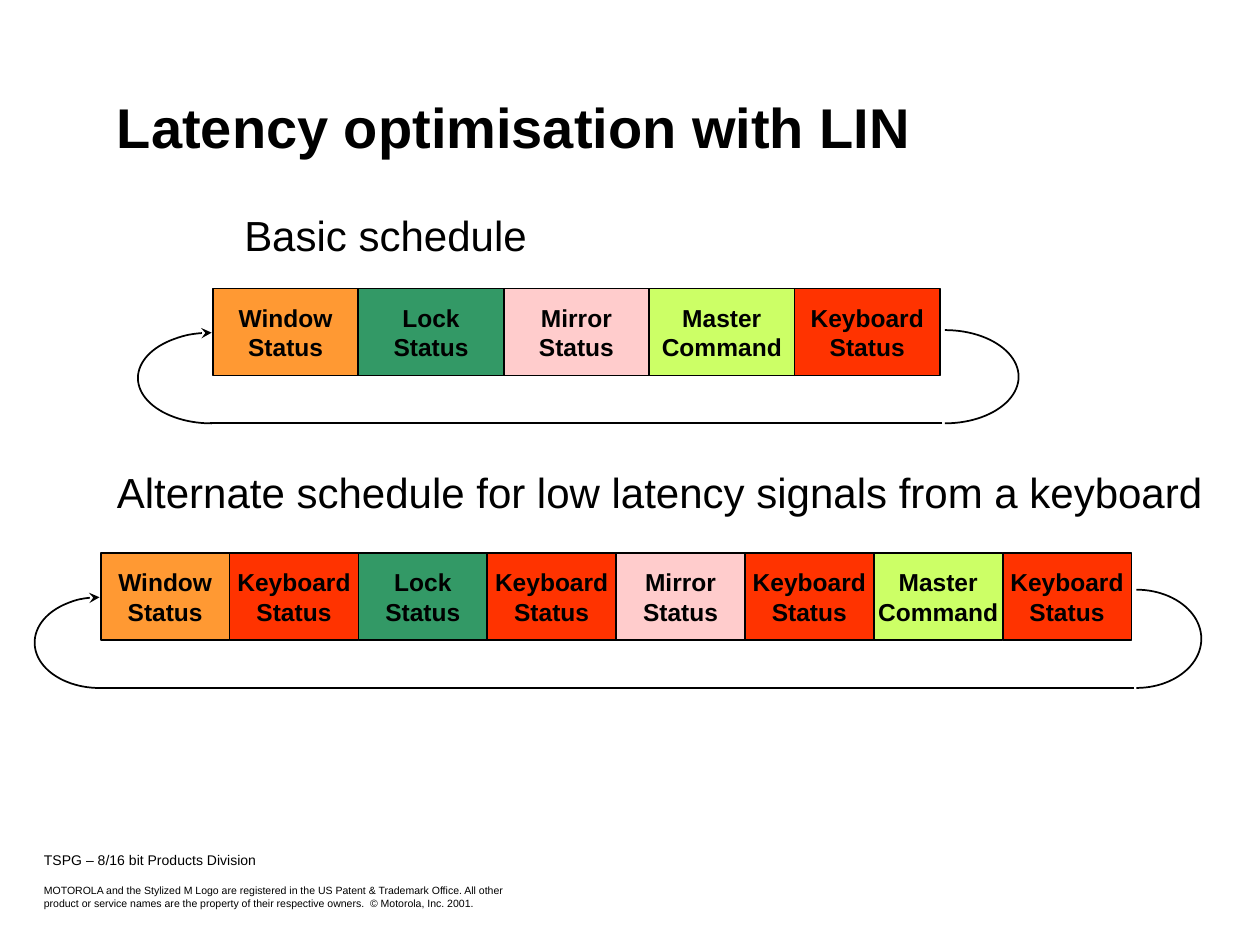
from dataclasses import dataclass

from lxml import etree
from pptx import Presentation
from pptx import util as u
from pptx.dml import color
from pptx.enum import shapes, text
from pptx.oxml import ns

BLACK = "000000"
FONT = "Arial"


@dataclass
class Frame:
    """One message slot of a schedule."""
    name: str
    kind: str
    fill: str


@dataclass
class Plan:
    """A row of frames with the loop that leads back to its start."""
    left: float
    right: float
    top: float
    loop: float   # width of the arcs
    rise: float   # height of the right arc
    frames: list[Frame]


@dataclass
class Label:
    left: float
    top: float
    width: float
    height: float
    size: int
    words: str
    bold: bool = False


WINDOW = Frame("Window", "Status", "FF9933")
LOCK = Frame("Lock", "Status", "339966")
MIRROR = Frame("Mirror", "Status", "FFCCCC")
MASTER = Frame("Master", "Command", "CCFF66")
KEYS = Frame("Keyboard", "Status", "FF3300")

PLANS = [
    Plan(1.69, 7.46, 2.29, 1.17, 0.74, [WINDOW, LOCK, MIRROR, MASTER, KEYS]),
    Plan(0.8, 8.98, 4.39, 1.03, 0.78,
         [WINDOW, KEYS, LOCK, KEYS, MIRROR, KEYS, MASTER, KEYS]),
]

LABELS = [
    Label(0.83, 0.5, 8.67, 1, 32, "Latency optimisation with LIN", True),
    Label(1.84, 1.61, 4.45, 0.5, 24, "Basic schedule"),
    Label(0.83, 3.65, 8.83, 0.5, 24,
          "Alternate schedule for low latency signals from a keyboard"),
]

OWNER = "TSPG – 8/16 bit Products Division"
RIGHTS = ("MOTOROLA and the Stylized M Logo are registered in the US Patent "
          "& Trademark Office. All other \vproduct or service names are the "
          "property of their respective owners.  © Motorola, Inc. 2001.")


def rgb(code: str) -> color.RGBColor:
    return color.RGBColor.from_string(code)


def style(para, size: float, bold: bool = False) -> None:
    font = para.font
    font.name, font.size, font.bold = FONT, u.Pt(size), bold
    font.color.rgb = rgb(BLACK)


def ink(shape) -> None:
    shape.line.color.rgb = rgb(BLACK)
    shape.line.width = u.Pt(1)


def write(slide, label: Label):
    box = slide.shapes.add_textbox(
        u.Inches(label.left), u.Inches(label.top),
        u.Inches(label.width), u.Inches(label.height))
    frame = box.text_frame
    frame.word_wrap = True
    frame.text = label.words
    style(frame.paragraphs[0], label.size, label.bold)
    return frame


def cell(slide, item: Frame, left: float, top: float, width: float) -> None:
    box = slide.shapes.add_shape(
        shapes.MSO_SHAPE.RECTANGLE, u.Inches(left), u.Inches(top),
        u.Inches(width), u.Inches(0.69))
    box.shadow.inherit = False
    box.fill.solid()
    box.fill.fore_color.rgb = rgb(item.fill)
    ink(box)
    frame = box.text_frame
    frame.word_wrap = False
    frame.vertical_anchor = text.MSO_ANCHOR.MIDDLE
    frame.text = f"{item.name}\n{item.kind}"
    for para in frame.paragraphs:
        para.alignment = text.PP_ALIGN.CENTER
        style(para, 14, True)


def arc(slide, mid: float, base: float, width: float, height: float,
        start: int, end: int):
    """Clockwise arc between two angles, centred on mid above base."""
    curve = slide.shapes.add_shape(
        shapes.MSO_SHAPE.ARC, u.Inches(mid - width / 2),
        u.Inches(base - height), u.Inches(width), u.Inches(height))
    curve.shadow.inherit = False
    curve.fill.background()
    ink(curve)
    # Angles are stored in 1/60000 degree, adjustments in 1/100000
    curve.adjustments[0] = start * 0.6
    curve.adjustments[1] = end * 0.6
    return curve


def loop(slide, plan: Plan) -> None:
    base = plan.top + 1.07
    arc(slide, plan.right + 0.04, base, plan.loop, plan.rise, 270, 90)
    back = arc(slide, plan.left - 0.01, base, plan.loop, 0.72, 90, 270)
    etree.SubElement(back.line._get_or_add_ln(), ns.qn("a:tailEnd"),
                     type="stealth")
    line = slide.shapes.add_connector(
        shapes.MSO_CONNECTOR.STRAIGHT,
        u.Inches(plan.right + 0.02), u.Inches(base),
        u.Inches(plan.left - 0.02), u.Inches(base))
    ink(line)
    etree.SubElement(line._element.spPr, ns.qn("a:effectLst"))


def draw(slide, plan: Plan) -> None:
    width = (plan.right - plan.left) / len(plan.frames)
    for i, item in enumerate(plan.frames):
        cell(slide, item, plan.left + i * width, plan.top, width)
    loop(slide, plan)


def main() -> None:
    deck = Presentation()
    deck.slide_width, deck.slide_height = u.Inches(10), u.Inches(7.5)
    slide = deck.slides.add_slide(deck.slide_layouts[6])

    # Title and headings
    title, *_ = [write(slide, label) for label in LABELS]
    title.vertical_anchor = text.MSO_ANCHOR.MIDDLE

    # Schedules
    for plan in PLANS:
        draw(slide, plan)

    # Footer
    foot = write(slide, Label(0.25, 6.71, 4.42, 0.62, 8, OWNER))
    note = foot.add_paragraph()
    note.text = RIGHTS
    note.space_before = u.Pt(9)
    style(note, 6)

    deck.save("out.pptx")


if __name__ == "__main__":
    main()
